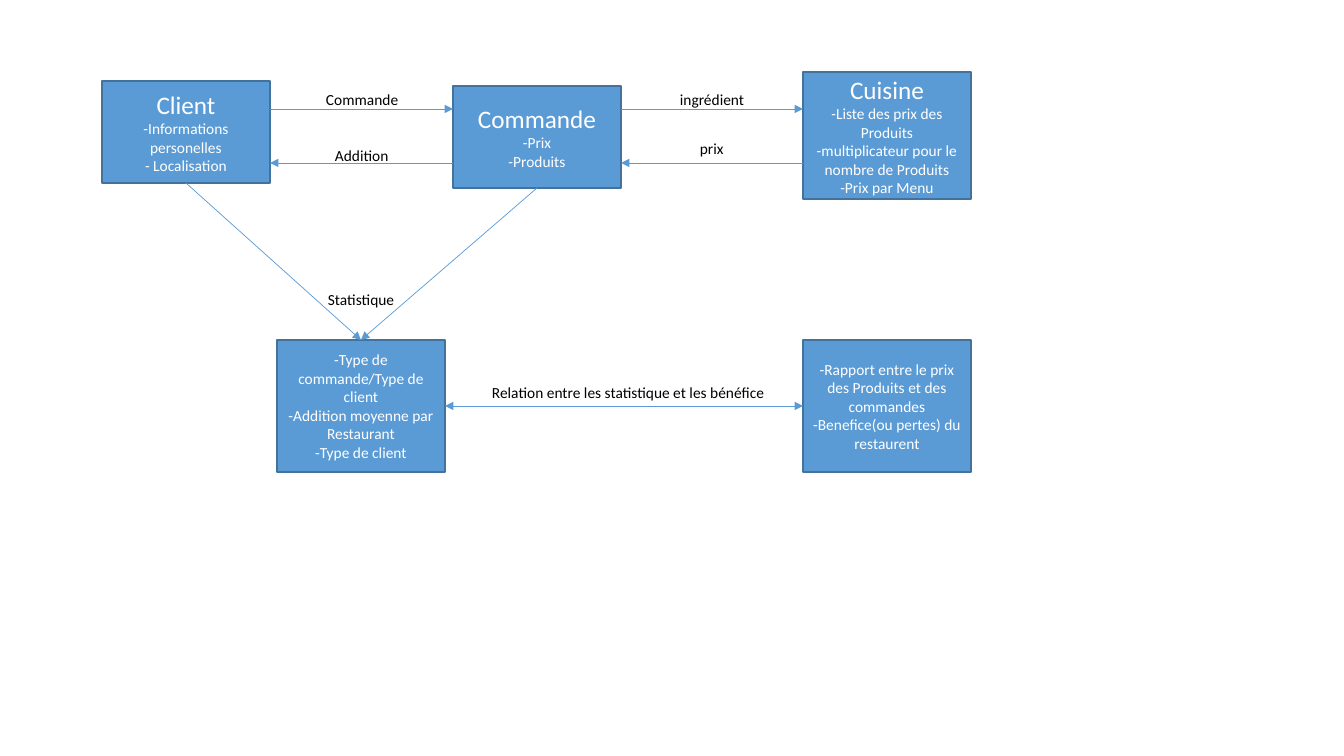
from dataclasses import dataclass

from lxml.etree import SubElement
from pptx import Presentation
from pptx.dml.color import RGBColor
from pptx.enum.shapes import MSO_CONNECTOR, MSO_SHAPE
from pptx.enum.text import MSO_ANCHOR, MSO_AUTO_SIZE, PP_ALIGN
from pptx.oxml.ns import qn
from pptx.slide import Slide
from pptx.text.text import TextFrame
from pptx.util import Emu, Pt

EMU_PER_PIXEL = 914400 / 100.8


@dataclass(frozen=True)
class Theme:
    """Colours, type sizes and line widths of the diagram."""
    font: str = "Calibri"
    fill: RGBColor = RGBColor(0x5B, 0x9B, 0xD5)
    border: RGBColor = RGBColor(0x43, 0x72, 0x9D)
    light: RGBColor = RGBColor(0xFF, 0xFF, 0xFF)
    dark: RGBColor = RGBColor(0, 0, 0)
    heading: Pt = Pt(18)
    body: Pt = Pt(11)
    border_width: Pt = Pt(1)
    arrow_width: Pt = Pt(0.5)


@dataclass(frozen=True)
class Entity:
    """A box with an optional heading and its detail lines."""
    left: int
    top: int
    height: int
    details: tuple[str, ...]
    heading: str = ""
    width: int = 168

    @property
    def right(self) -> int:
        """Right edge."""
        return self.left + self.width

    @property
    def bottom(self) -> int:
        """Bottom edge."""
        return self.top + self.height

    @property
    def middle(self) -> int:
        """Horizontal middle."""
        return self.left + self.width // 2


@dataclass(frozen=True)
class Flow:
    """An arrow between two points."""
    start: tuple[int, int]
    end: tuple[int, int]
    both_ways: bool = False


@dataclass(frozen=True)
class Label:
    """The wording beside a flow."""
    text: str
    left: int
    top: int
    width: int
    height: int = 28


THEME = Theme()
BOX_TEXT = {"word_wrap": True, "vertical_anchor": MSO_ANCHOR.MIDDLE}
LABEL_TEXT = {"word_wrap": False, "auto_size": MSO_AUTO_SIZE.NONE}

client = Entity(102, 81, 102, ("-Informations personelles", "- Localisation"), "Client")
commande = Entity(453, 86, 102, ("-Prix", "-Produits"), "Commande")
cuisine = Entity(803, 72, 127, (
    "-Liste des prix des Produits",
    "-multiplicateur pour le nombre de Produits",
    "-Prix par Menu"), "Cuisine")
statistique = Entity(277, 340, 132, (
    "-Type de commande/Type de client",
    "-Addition moyenne par Restaurant",
    "-Type de client"))
benefice = Entity(803, 340, 132, (
    "-Rapport entre le prix des Produits et des commandes",
    "-Benefice(ou pertes) du restaurent"))
ENTITIES = (client, statistique, cuisine, commande, benefice)

REQUEST_Y, REPLY_Y, RELATION_Y = 109, 163, 406
exchanges = [
    flow
    for asker, answerer in ((client, commande), (commande, cuisine))
    for flow in (
        Flow((asker.right, REQUEST_Y), (answerer.left, REQUEST_Y)),
        Flow((answerer.left, REPLY_Y), (asker.right, REPLY_Y)))
]
statistics = [
    Flow((source.middle, source.bottom), (statistique.middle, statistique.top))
    for source in (client, commande)
]
relation = Flow((statistique.right, RELATION_Y), (benefice.left, RELATION_Y), True)

LABELS = (
    Label("Commande", 316, 85, 93),
    Label("Addition", 325, 141, 74),
    Label("ingrédient", 670, 85, 84),
    Label("prix", 690, 134, 43),
    Label("Statistique", 318, 285, 87),
    Label("Relation entre les statistique et les bénéfice", 482, 378, 293),
)


def px(*lengths: int) -> list[Emu]:
    """Turn pixels into EMU."""
    return [Emu(round(length * EMU_PER_PIXEL)) for length in lengths]


def write(frame: TextFrame, lines: list[tuple[str, Pt]], color: RGBColor,
          align: PP_ALIGN, frame_format: dict) -> None:
    """Fill a text frame with one paragraph per line."""
    for name, value in frame_format.items():
        setattr(frame, name, value)
    for index, (text, size) in enumerate(lines):
        paragraph = frame.add_paragraph() if index else frame.paragraphs[0]
        paragraph.alignment = align
        run = paragraph.add_run()
        run.text = text
        for name, value in {"name": THEME.font, "size": size}.items():
            setattr(run.font, name, value)
        run.font.color.rgb = color


def draw_entity(slide: Slide, entity: Entity) -> None:
    """Draw a box and its text."""
    box = slide.shapes.add_shape(
        MSO_SHAPE.RECTANGLE,
        *px(entity.left, entity.top, entity.width, entity.height))
    box.shadow.inherit = False
    box.fill.solid()
    box.fill.fore_color.rgb = THEME.fill
    box.line.color.rgb = THEME.border
    box.line.width = THEME.border_width
    lines = [(entity.heading, THEME.heading)] if entity.heading else []
    lines += [(detail, THEME.body) for detail in entity.details]
    write(box.text_frame, lines, THEME.light, PP_ALIGN.CENTER, BOX_TEXT)


def draw_flow(slide: Slide, flow: Flow) -> None:
    """Draw an arrow with one or two triangle heads."""
    arrow = slide.shapes.add_connector(
        MSO_CONNECTOR.STRAIGHT, *px(*flow.start, *flow.end))
    arrow.line.color.rgb = THEME.fill
    arrow.line.width = THEME.arrow_width
    properties = arrow.element.spPr
    outline = properties.find(qn("a:ln"))
    for tip in ("a:headEnd", "a:tailEnd") if flow.both_ways else ("a:tailEnd",):
        SubElement(outline, qn(tip), type="triangle")
    SubElement(properties, qn("a:effectLst"))


def draw_label(slide: Slide, label: Label) -> None:
    """Draw the wording of a flow."""
    box = slide.shapes.add_textbox(
        *px(label.left, label.top, label.width, label.height))
    write(box.text_frame, [(label.text, THEME.body)], THEME.dark,
          PP_ALIGN.LEFT, LABEL_TEXT)


def main() -> None:
    """Build and save the slide."""
    deck = Presentation()
    deck.slide_width, deck.slide_height = px(1344, 756)
    slide = deck.slides.add_slide(deck.slide_layouts.get_by_name("Blank"))
    for entity in ENTITIES:
        draw_entity(slide, entity)
    for flow in (*exchanges, *statistics, relation):
        draw_flow(slide, flow)
    for label in LABELS:
        draw_label(slide, label)
    deck.save("out.pptx")


main()
